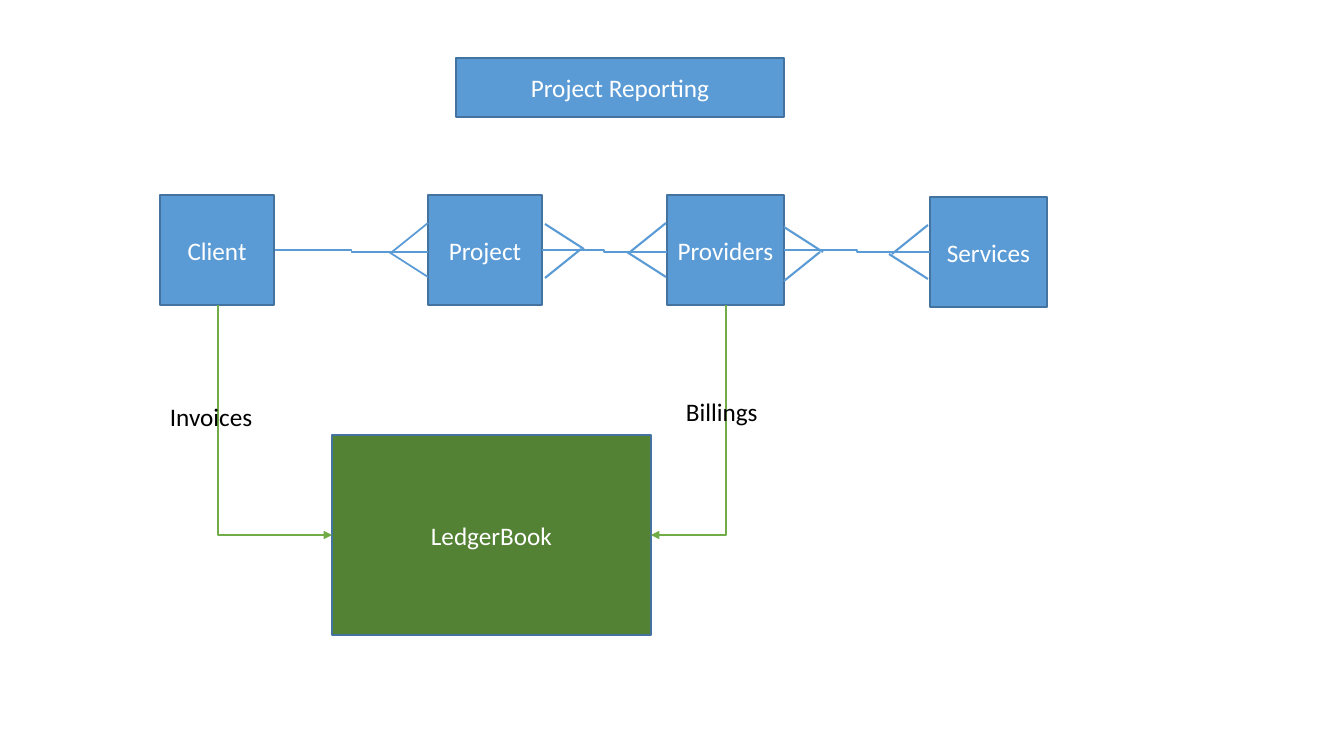
from dataclasses import dataclass

from pptx import Presentation
from pptx.dml.color import RGBColor
from pptx.enum.shapes import MSO_CONNECTOR, MSO_SHAPE
from pptx.enum.text import MSO_ANCHOR, MSO_AUTO_SIZE, PP_ALIGN
from pptx.oxml.ns import qn
from pptx.shapes.connector import Connector
from pptx.text.text import TextFrame
from pptx.util import Pt
from lxml import etree

RECT = MSO_SHAPE.RECTANGLE
STRAIGHT, ELBOW = MSO_CONNECTOR.STRAIGHT, MSO_CONNECTOR.ELBOW
CENTER, LEFT = PP_ALIGN.CENTER, PP_ALIGN.LEFT

EMU_PER_PX = 914400 / 100.8
COLORS = {"entity": "5B9BD5", "border": "43739E", "ledger": "548235",
          "flow": "70AD47", "light": "FFFFFF", "dark": "000000"}
FONT = {"name": "Calibri", "size": Pt(18)}
BOX_FRAME = {"word_wrap": True, "vertical_anchor": MSO_ANCHOR.MIDDLE}
LABEL_FRAME = {"word_wrap": True, "auto_size": MSO_AUTO_SIZE.SHAPE_TO_FIT_TEXT}


@dataclass
class Box:
    """A filled box, or a plain label when it has no fill."""
    text: str
    x: int
    y: int
    w: int
    h: int
    fill: str = "entity"


@dataclass
class Line:
    """A connector between two points."""
    x1: int
    y1: int
    x2: int
    y2: int
    width: float = 1.5


@dataclass
class CrowFoot:
    """A "many" mark; side is 1 when it opens right, -1 when it opens left."""
    x: int
    y: int
    side: int
    width: float = 1.5


BOXES = [
    Box("Client", 160, 195, 114, 110),
    Box("Project", 428, 195, 114, 110),
    Box("Providers", 667, 195, 117, 110),
    Box("Services", 930, 197, 117, 110),
    Box("LedgerBook", 332, 435, 319, 200, "ledger"),
    Box("Project Reporting", 456, 58, 328, 59),
]
LABELS = [Box("Invoices", 160, 396, 127, 40), Box("Billings", 676, 391, 127, 40)]
RELATIONS = [Line(275, 250, 428, 252, 1.25), Line(542, 250, 667, 252),
             Line(784, 250, 930, 252)]
FEET = [CrowFoot(389, 252, 1, 1.25), CrowFoot(627, 252, 1), CrowFoot(584, 249, -1),
        CrowFoot(889, 254, 1), CrowFoot(823, 252, -1)]
FLOWS = [Line(218, 305, 332, 535, 1.75), Line(726, 305, 651, 535, 1.75)]


def px(value: float) -> int:
    """Turn pixels into EMU."""
    return round(value * EMU_PER_PX)


def rgb(name: str) -> RGBColor:
    """Look up a named colour."""
    return RGBColor.from_string(COLORS[name])


def apply(target: object, values: dict) -> None:
    """Set every attribute in values on the target."""
    for name, value in values.items():
        setattr(target, name, value)


def write(tf: TextFrame, text: str, color: str, align: PP_ALIGN, frame: dict) -> None:
    """Put one formatted paragraph into a text frame."""
    apply(tf, frame)
    p = tf.paragraphs[0]
    p.alignment = align
    r = p.add_run()
    r.text = text
    apply(r.font, FONT)
    r.font.color.rgb = rgb(color)


def draw_box(shapes, box: Box) -> None:
    """Draw a filled box with centred text."""
    s = shapes.add_shape(RECT, px(box.x), px(box.y), px(box.w), px(box.h))
    s.shadow.inherit = False
    s.fill.solid()
    s.fill.fore_color.rgb = rgb(box.fill)
    s.line.color.rgb = rgb("border")
    s.line.width = Pt(1)
    write(s.text_frame, box.text, "light", CENTER, BOX_FRAME)


def draw_label(shapes, label: Box) -> None:
    """Draw a text label for a flow."""
    s = shapes.add_textbox(px(label.x), px(label.y), px(label.w), px(label.h))
    write(s.text_frame, label.text, "dark", LEFT, LABEL_FRAME)


def draw_line(shapes, line: Line, kind: MSO_CONNECTOR, color: str = "entity") -> Connector:
    """Draw a connector without a shadow."""
    s = shapes.add_connector(kind, px(line.x1), px(line.y1), px(line.x2), px(line.y2))
    s.line.color.rgb = rgb(color)
    s.line.width = Pt(line.width)
    etree.SubElement(s.element.spPr, qn("a:effectLst"))
    return s


def draw_foot(shapes, foot: CrowFoot) -> None:
    """Draw the two grouped toes of a crow's foot."""
    group = shapes.add_group_shape()
    for start, dy in ((3, -29), (0, 25)):
        toe = Line(foot.x + start * foot.side, foot.y,
                   foot.x + 39 * foot.side, foot.y + dy * foot.side, foot.width)
        draw_line(group.shapes, toe, STRAIGHT)


def draw_flow(shapes, flow: Line) -> None:
    """Draw an arrow that runs down, then turns sideways once."""
    w, h = abs(flow.x2 - flow.x1), flow.y2 - flow.y1
    left = (flow.x1 + flow.x2 - h) / 2
    top = (flow.y1 + flow.y2 - w) / 2
    s = draw_line(shapes, Line(left, top, left + h, top + w, flow.width), ELBOW, "flow")
    sp = s.element.spPr
    sp.find(qn("a:prstGeom")).set("prst", "bentConnector2")
    xfrm = sp.find(qn("a:xfrm"))
    if flow.x2 > flow.x1:
        xfrm.set("rot", str(270 * 60000))
        xfrm.set("flipH", "1")
    else:
        xfrm.set("rot", str(90 * 60000))
    etree.SubElement(sp.find(qn("a:ln")), qn("a:tailEnd"), type="triangle")


def main() -> None:
    """Build the slide and save it."""
    prs = Presentation()
    prs.slide_width, prs.slide_height = px(1344), px(756)
    shapes = prs.slides.add_slide(prs.slide_layouts[6]).shapes
    for box in BOXES:
        draw_box(shapes, box)
    for relation in RELATIONS:
        draw_line(shapes, relation, ELBOW)
    for foot in FEET:
        draw_foot(shapes, foot)
    for flow in FLOWS:
        draw_flow(shapes, flow)
    for label in LABELS:
        draw_label(shapes, label)
    prs.save("out.pptx")


main()
